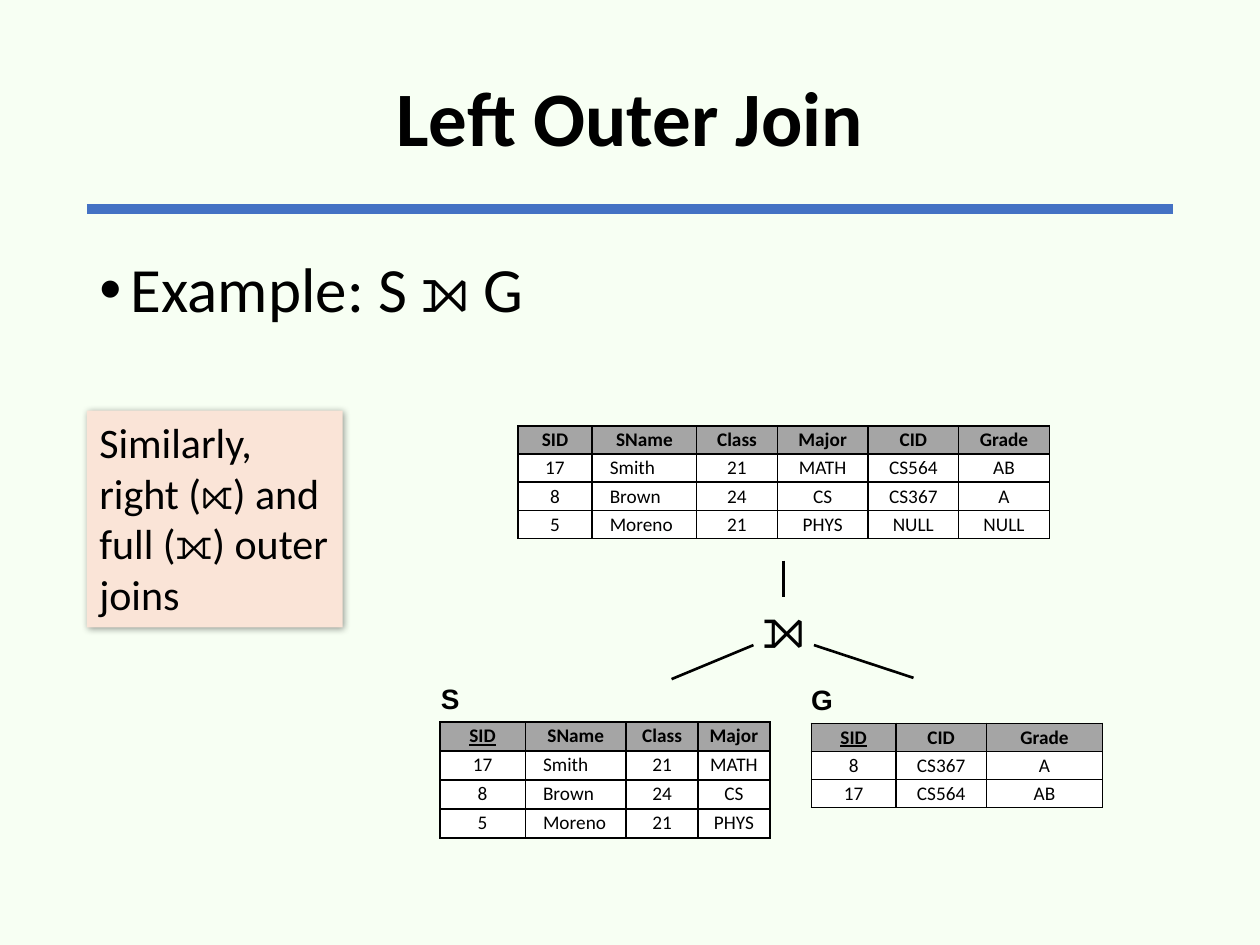
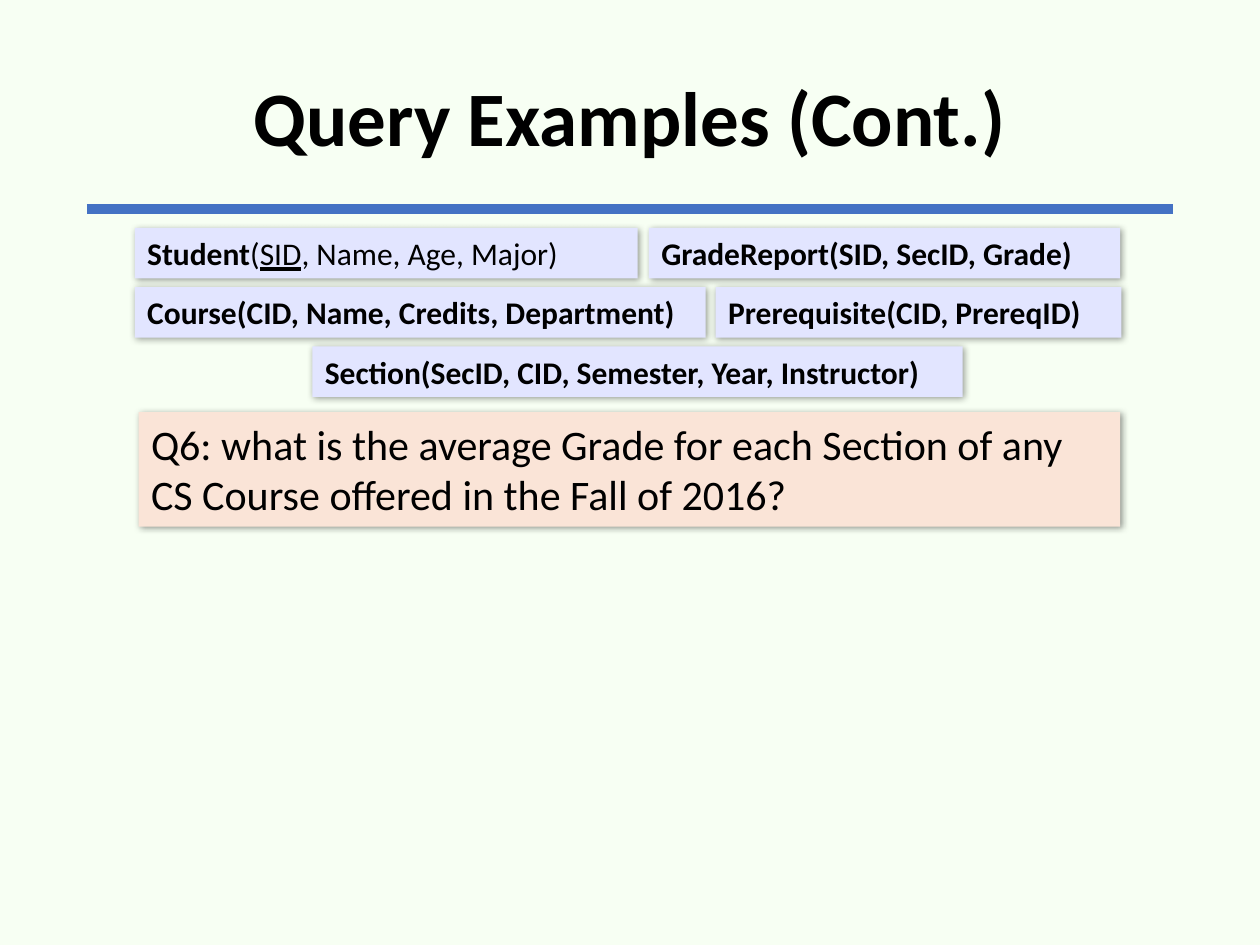
from dataclasses import dataclass

from lxml import etree
from pptx import Presentation
from pptx.dml.color import RGBColor
from pptx.enum.shapes import MSO_CONNECTOR, MSO_SHAPE
from pptx.enum.text import MSO_ANCHOR, PP_ALIGN
from pptx.oxml.ns import qn
from pptx.util import Inches, Pt

RECTANGLE, ELLIPSE = MSO_SHAPE.RECTANGLE, MSO_SHAPE.OVAL
STRAIGHT = MSO_CONNECTOR.STRAIGHT
LEFT, CENTER = PP_ALIGN.LEFT, PP_ALIGN.CENTER
TOP, MIDDLE = MSO_ANCHOR.TOP, MSO_ANCHOR.MIDDLE


@dataclass(frozen=True)
class Theme:
    background: str = "F7FFF3"
    rule: str = "4472C4"
    ink: str = "000000"
    header: str = "A5A5A5"
    cell: str = "FFFFFF"
    note: str = "FAE4D7"
    schema: str = "E2E5FF"
    font: str = "Calibri"
    label_font: str = "Arial"
    title_size: int = 44
    body_size: int = 36
    operator_size: int = 32
    note_size: int = 24
    schema_size: int = 18
    label_size: int = 16
    table_size: int = 11


THEME = Theme()


def color(value):
    return RGBColor.from_string(value)


def add_element(parent, tag, **attributes):
    return etree.SubElement(parent, qn(tag), attributes)


def write(frame, text, *, size, font=THEME.font, bold=False, underline=False,
          align=LEFT, anchor=TOP, wrap=True, spacing=None, indent=0, bullet=None):
    frame.word_wrap = wrap
    frame.vertical_anchor = anchor
    para = frame.paragraphs[0]
    properties = para._p.get_or_add_pPr()
    if indent:
        properties.set("marL", str(Inches(indent)))
    if bullet:
        properties.set("indent", str(-Inches(indent)))
        add_element(properties, "a:buFont", typeface="Arial")
        add_element(properties, "a:buChar", char=bullet)
    para.alignment = align
    if spacing:
        para.line_spacing = spacing
    spans = [(text, {})] if isinstance(text, str) else text
    for words, changes in spans:
        span = para.add_run()
        span.text = words
        span.font.name = font
        span.font.size = Pt(size)
        span.font.color.rgb = color(THEME.ink)
        span.font.bold = changes.get("bold", bold)
        span.font.underline = changes.get("underline", underline)


class SlideBuilder:
    def __init__(self, deck, theme):
        self.deck = deck
        self.theme = theme
        self.page = None

    def start(self, title):
        self.page = self.deck.slides.add_slide(self.deck.slide_layouts[6])
        fill = self.page.background.fill
        fill.solid()
        fill.fore_color.rgb = color(self.theme.background)
        self.line((0.69, 1.66), (9.31, 1.66), self.theme.rule, 6)
        self.text((0.69, 0.24, 8.62, 1.45), title, size=self.theme.title_size,
                  bold=True, align=CENTER, anchor=MIDDLE, spacing=0.9)

    def text(self, place, text, **style):
        box = self.page.shapes.add_textbox(*map(Inches, place))
        write(box.text_frame, text, **style)

    def line(self, start, end, line_color, width):
        connector = self.page.shapes.add_connector(
            STRAIGHT, *map(Inches, (*start, *end)))
        connector.line.color.rgb = color(line_color)
        connector.line.width = Pt(width)
        add_element(connector._element.spPr, "a:effectLst")
        return connector

    def card(self, place, text, fill, **style):
        box = self.page.shapes.add_shape(RECTANGLE, *map(Inches, place))
        box.fill.solid()
        box.fill.fore_color.rgb = color(fill)
        box.line.fill.background()
        box.shadow.inherit = False
        effects = box._element.spPr.find(qn("a:effectLst"))
        shadow = add_element(effects, "a:outerShdw", blurRad=str(Pt(4)),
                             dist=str(Pt(1)), dir="2700000", algn="tl",
                             rotWithShape="0")
        tint = add_element(shadow, "a:srgbClr", val=self.theme.ink)
        add_element(tint, "a:alpha", val="40000")
        write(box.text_frame, text, **style)

    def operator(self, place, symbol):
        ellipse = self.page.shapes.add_shape(ELLIPSE, *map(Inches, place))
        ellipse.fill.background()
        ellipse.line.fill.background()
        ellipse.shadow.inherit = False
        write(ellipse.text_frame, symbol, size=self.theme.operator_size,
              align=CENTER, anchor=MIDDLE, wrap=False)
        return ellipse

    def table(self, left, top, widths, row_height, rows, key=None):
        frame = self.page.shapes.add_table(
            len(rows), len(widths), Inches(left), Inches(top),
            Inches(sum(widths)), Inches(row_height * len(rows)))
        table = frame.table
        for column, width in zip(table.columns, widths):
            column.width = Inches(width)
        for row_index, values in enumerate(rows):
            table.rows[row_index].height = Inches(row_height)
            for column_index, value in enumerate(values):
                self.cell(table.cell(row_index, column_index), value,
                          heading=row_index == 0, key=value == key,
                          name=rows[0][column_index] == "SName")

    def cell(self, cell, value, heading, key, name):
        cell.margin_left = cell.margin_right = Inches(0.02)
        cell.margin_top = cell.margin_bottom = Inches(0.02)
        cell.fill.solid()
        cell.fill.fore_color.rgb = color(
            self.theme.header if heading else self.theme.cell)
        properties = cell._tc.get_or_add_tcPr()
        for index, side in enumerate(("lnL", "lnR", "lnT", "lnB")):
            border = add_element(properties, f"a:{side}", w=str(Pt(1)))
            paint = add_element(border, "a:solidFill")
            add_element(paint, "a:srgbClr", val=self.theme.ink)
            properties.insert(index, border)
        indented = name and not heading
        write(cell.text_frame, value, size=self.theme.table_size, bold=heading,
              underline=key, align=LEFT if indented else CENTER,
              indent=0.12 if indented else 0)


def build_outer_join(builder):
    theme = builder.theme
    builder.start("Left Outer Join")
    builder.text((0.69, 2, 8.62, 4.76), "Example: S ⟕ G", size=theme.body_size,
                 spacing=0.9, indent=0.25, bullet="•")

    students = [
        ("SID", "SName", "Class", "Major"),
        ("17", "Smith", "21", "MATH"),
        ("8", "Brown", "24", "CS"),
        ("5", "Moreno", "21", "PHYS"),
    ]
    grades = [("SID", "CID", "Grade"), ("8", "CS367", "A"), ("17", "CS564", "AB")]
    grade_by_student = {row[0]: row[1:] for row in grades}
    joined = [row + grade_by_student.get(row[0], ("NULL", "NULL"))
              for row in students]

    builder.table(3.49, 5.73, (0.68, 0.8, 0.57, 0.57), 0.23, students, key="SID")
    builder.table(6.44, 5.74, (0.67, 0.72, 0.92), 0.22, grades, key="SID")
    builder.table(4.11, 3.38, (0.59, 0.83, 0.64, 0.72, 0.72, 0.72), 0.22, joined)
    for name, left, top in (("S", 3.4, 5.36), ("G", 6.34, 5.37)):
        builder.text((left, top, 0.37, 0.37), name, size=theme.label_size,
                     font=theme.label_font, bold=True, wrap=False)

    join = builder.operator((5.88, 4.74, 0.68, 0.45), "⟕")
    result_line = builder.line((6.22, 4.45), (6.22, 4.74), theme.ink, 1.5)
    result_line.end_connect(join, 0)
    builder.line((5.98, 5.12), (5.33, 5.39), theme.ink, 1.5)
    builder.line((6.46, 5.12), (7.25, 5.38), theme.ink, 1.5)
    builder.card((0.69, 3.26, 2.03, 1.72),
                 "Similarly, right (⟖) and full (⟗) outer joins",
                 theme.note, size=theme.note_size)


def build_query_examples(builder):
    theme = builder.theme
    builder.start("Query Examples (Cont.)")
    builder.card((1.1, 3.27, 7.79, 0.91),
                 "Q6: what is the average Grade for each Section of any "
                 "CS Course offered in the Fall of 2016?",
                 theme.note, size=theme.note_size)
    student = [
        ("Student", {}),
        ("(", {"bold": False}),
        ("SID", {"bold": False, "underline": True}),
        (", Name, Age, Major)", {"bold": False}),
    ]
    schemas = [
        (0, 1.07, 3.99, student),
        (1, 1.07, 4.53, "Course(CID, Name, Credits, Department)"),
        (2, 2.48, 5.16, "Section(SecID, CID, Semester, Year, Instructor)"),
        (0, 5.15, 3.74, "GradeReport(SID, SecID, Grade)"),
        (1, 5.68, 3.22, "Prerequisite(CID, PrereqID)"),
    ]
    for row, left, width, schema in schemas:
        builder.card((left, 1.81 + 0.47 * row, width, 0.4), schema,
                     theme.schema, size=theme.schema_size, bold=True)


def main():
    deck = Presentation()
    deck.slide_width, deck.slide_height = Inches(10), Inches(7.5)
    builder = SlideBuilder(deck, THEME)
    build_outer_join(builder)
    build_query_examples(builder)
    deck.save("out.pptx")


if __name__ == "__main__":
    main()
